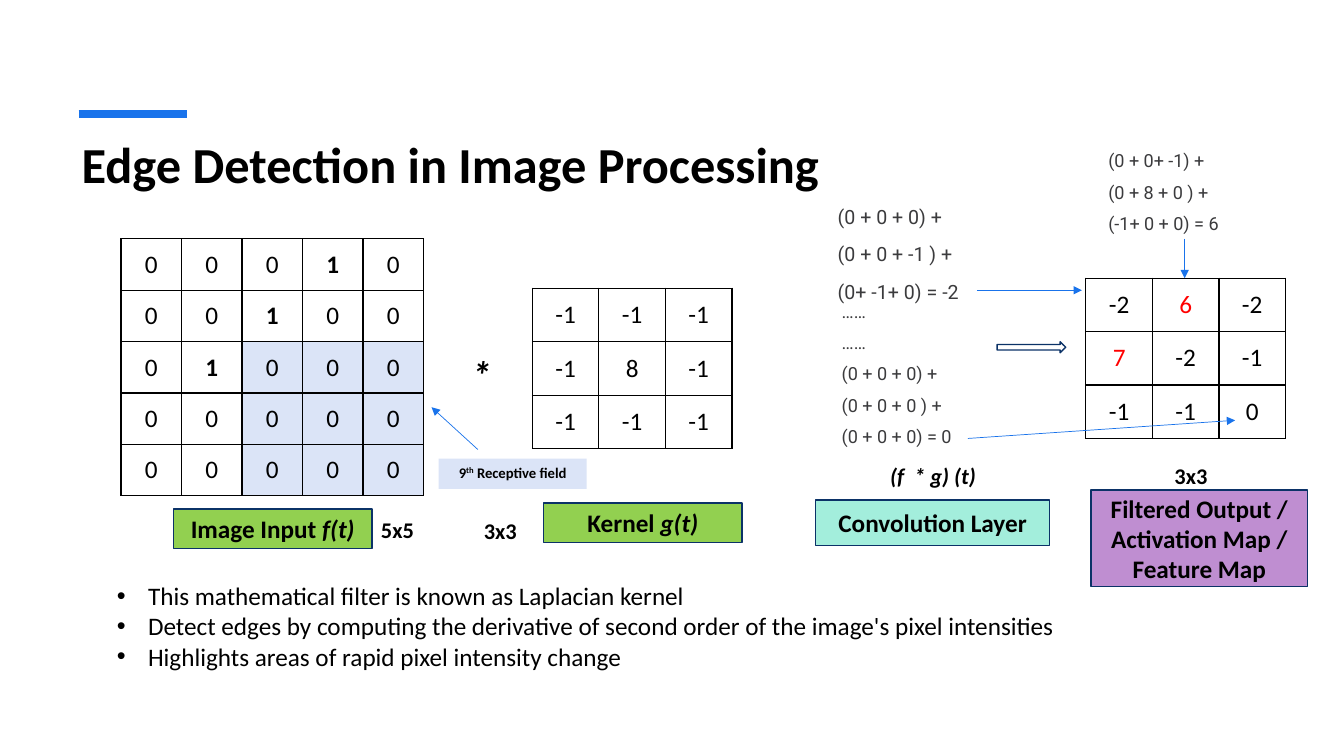
"""Builds a slide that explains edge detection with a Laplacian kernel."""
import pptx
import pptx.dml.color
import pptx.enum.shapes
import pptx.enum.text
import pptx.oxml
import pptx.oxml.ns
import pptx.util
from pptx.util import Inches

BLACK, BLUE, NAVY, GREY = "000000", "1973EB", "0B3267", "3B3B3D"
RED, GREEN, PALE_BLUE = "FF0000", "92D050", "DBE4F7"
ALIGN = pptx.enum.text.PP_ALIGN
ANCHOR = pptx.enum.text.MSO_ANCHOR
SHAPE = pptx.enum.shapes.MSO_SHAPE


def color(value):
    return pptx.dml.color.RGBColor.from_string(value)


def xml(tag, content="", attributes=""):
    namespace = pptx.oxml.ns.nsdecls("a")
    return pptx.oxml.parse_xml(f"<a:{tag} {namespace} {attributes}>{content}</a:{tag}>")


class SlideBuilder:
    def __init__(self, slide, font="Calibri"):
        self.slide = slide
        self.font = font

    def fill_text(self, frame, paragraphs, size, text_color=BLACK, bold=False, italic=False,
                  font=None, align=None, before=0, spacing=None):
        frame.word_wrap = True
        for index, content in enumerate(paragraphs):
            paragraph = frame.add_paragraph() if index else frame.paragraphs[0]
            paragraph.alignment = align
            paragraph.space_before = pptx.util.Pt(before)
            if spacing:
                paragraph.line_spacing = spacing
            runs = [(content, "")] if isinstance(content, str) else content
            for text, style in runs:
                run = paragraph.add_run()
                run.text = text
                run.font.name = font or self.font
                run.font.size = pptx.util.Pt(size)
                run.font.bold = bold
                run.font.italic = italic or style == "italic"
                run.font.color.rgb = color(text_color)
                if style == "superscript":
                    run.font._element.set("baseline", "30000")

    def title(self, text, left, top, width, height):
        title = self.slide.shapes.title
        title.left, title.top = Inches(left), Inches(top)
        title.width, title.height = Inches(width), Inches(height)
        frame = title.text_frame
        frame.auto_size = pptx.enum.text.MSO_AUTO_SIZE.NONE
        frame.vertical_anchor = ANCHOR.TOP
        frame.margin_top = Inches(0.09)
        self.fill_text(frame, [text], 36, bold=True, align=ALIGN.LEFT)

    def text(self, paragraphs, left, top, width, height, size, **style):
        box = self.slide.shapes.add_textbox(Inches(left), Inches(top), Inches(width), Inches(height))
        self.fill_text(box.text_frame, paragraphs, size, **style)
        return box

    def bullets(self, items, left, top, width, height):
        box = self.text(items, left, top, width, height, 18)
        for paragraph in box.text_frame.paragraphs:
            properties = paragraph._p.get_or_add_pPr()
            properties.set("marL", str(Inches(0.31)))
            properties.set("indent", str(-Inches(0.31)))
            properties.append(xml("buFont", attributes='typeface="Arial"'))
            properties.append(xml("buChar", attributes='char="•"'))

    def shape(self, kind, left, top, width, height, fill=None, line=NAVY):
        shape = self.slide.shapes.add_shape(
            kind, Inches(left), Inches(top), Inches(width), Inches(height))
        shape.shadow.inherit = False
        if fill:
            shape.fill.solid()
            shape.fill.fore_color.rgb = color(fill)
        else:
            shape.fill.background()
        if line:
            shape.line.color.rgb = color(line)
            shape.line.width = pptx.util.Pt(1)
        else:
            shape.line.fill.background()
        return shape

    def label(self, paragraphs, left, top, width, height, fill, line=NAVY, size=18,
              anchor=ANCHOR.MIDDLE):
        shape = self.shape(SHAPE.RECTANGLE, left, top, width, height, fill, line)
        shape.text_frame.vertical_anchor = anchor
        self.fill_text(shape.text_frame, paragraphs, size, bold=True, align=ALIGN.CENTER)

    def line(self, x1, y1, x2, y2, width=0.5, arrow=True):
        connector = self.slide.shapes.add_connector(
            pptx.enum.shapes.MSO_CONNECTOR.STRAIGHT,
            Inches(x1), Inches(y1), Inches(x2), Inches(y2))
        connector.line.color.rgb = color(BLUE)
        connector.line.width = pptx.util.Pt(width)
        if arrow:
            connector.line._get_or_add_ln().append(xml("tailEnd", attributes='type="triangle"'))
        connector._element.spPr.append(xml("effectLst"))

    def matrix(self, values, left, top, cell_width, cell_height, shaded=(), red=(), bold=()):
        size = len(values)
        table = self.slide.shapes.add_table(
            size, size, Inches(left), Inches(top),
            Inches(cell_width * size), Inches(cell_height * size)).table
        table.first_row = table.horz_banding = False
        for index in range(size):
            table.columns[index].width = Inches(cell_width)
            table.rows[index].height = Inches(cell_height)
        stroke = f'<a:solidFill><a:srgbClr val="{BLACK}"/></a:solidFill>'
        for row, numbers in enumerate(values):
            for column, number in enumerate(numbers):
                cell = table.cell(row, column)
                cell.vertical_anchor = ANCHOR.MIDDLE
                self.fill_text(cell.text_frame, [str(number)], 18, align=ALIGN.CENTER,
                               text_color=RED if number in red else BLACK, bold=number in bold)
                properties = cell._tc.get_or_add_tcPr()
                for side in ("lnL", "lnR", "lnT", "lnB"):
                    properties.append(xml(side, stroke, 'w="12700"'))
                if (row, column) in shaded:
                    cell.fill.solid()
                    cell.fill.fore_color.rgb = color(PALE_BLUE)
                else:
                    cell.fill.background()


def main():
    presentation = pptx.Presentation()
    presentation.slide_width, presentation.slide_height = Inches(13.33), Inches(7.5)
    builder = SlideBuilder(presentation.slides.add_slide(presentation.slide_layouts[5]))

    builder.line(0.78, 1.13, 1.85, 1.13, width=6, arrow=False)
    builder.title("Edge Detection in Image Processing", 0.71, 1.23, 11.91, 0.63)

    image = [[0, 0, 0, 1, 0], [0, 0, 1, 0, 0], [0, 1, 0, 0, 0], [0] * 5, [0] * 5]
    receptive_field = [(row, column) for row in range(2, 5) for column in range(2, 5)]
    builder.matrix(image, 1.2, 2.37, 0.6, 0.51, shaded=receptive_field, bold=[1])
    builder.matrix([[-1, -1, -1], [-1, 8, -1], [-1, -1, -1]], 5.28, 2.86, 0.66, 0.53)
    builder.matrix([[-2, 6, -2], [7, -2, -1], [-1, -1, 0]], 10.77, 2.76, 0.66, 0.53, red=[6, 7])

    builder.label([[("Image Input ", ""), ("f(t)", "italic")]], 1.72, 5.05, 1.97, 0.39, GREEN)
    builder.label([[("Kernel ", ""), ("g(t)", "italic")]], 5.39, 4.99, 1.97, 0.39, GREEN)
    builder.label(["Convolution Layer"], 8.09, 4.96, 2.32, 0.45, "A3EEDC")
    builder.label(["Filtered Output /", "Activation Map /", "Feature Map"],
                  10.82, 4.86, 2.15, 0.96, "BF8ED1")
    builder.label([[("9", ""), ("th", "superscript"), (" Receptive field", "")]],
                  4.35, 4.55, 1.47, 0.3, PALE_BLUE, line=None, size=10.5, anchor=ANCHOR.TOP)

    sums = {"font": "Roboto", "text_color": GREY, "before": 10}
    builder.text(["(0 + 0 + 0) +", "(0 + 0 + -1 ) +", "(0+ -1+ 0) = -2"],
                 8.21, 1.98, 2.02, 1.12, 14, **sums)
    builder.text(["……", "……", "(0 + 0 + 0) +", "(0 + 0 + 0 ) +", "(0 + 0 + 0) = 0"],
                 8.25, 2.97, 2.48, 1.59, 12.9, spacing=0.8, **sums)
    builder.text([" (0 + 0+ -1) +", " (0 + 8 + 0 ) +", " (-1+ 0 + 0) = 6"],
                 10.85, 1.48, 1.97, 0.96, 12.9, spacing=0.8, **sums)

    builder.text(["*"], 4.58, 3.43, 0.39, 0.67, 28, bold=True, italic=True)
    builder.text(["(f  * g) (t)"], 8.73, 4.54, 1.2, 0.39, 16, bold=True, italic=True)
    for dimensions, left, top in (("5x5", 3.68, 5.07), ("3x3", 4.7, 5.08), ("3x3", 11.55, 4.54)):
        builder.text([dimensions], left, top, 0.58, 0.39, 16, bold=True)

    builder.shape(SHAPE.RIGHT_ARROW, 9.89, 3.39, 0.68, 0.11)
    for ends in ((9.6, 4.35, 12.25, 4.17), (9.69, 2.88, 10.73, 2.88),
                 (11.75, 2.37, 11.75, 2.76), (4.74, 4.46, 4.28, 4.04)):
        builder.line(*ends)

    builder.bullets(["This mathematical filter is known as Laplacian kernel",
                     "Detect edges by computing the derivative of second order of the image's pixel intensities",
                     "Highlights areas of rapid pixel intensity change"], 1.06, 5.71, 11.91, 1.01)
    presentation.save("out.pptx")


if __name__ == "__main__":
    main()
